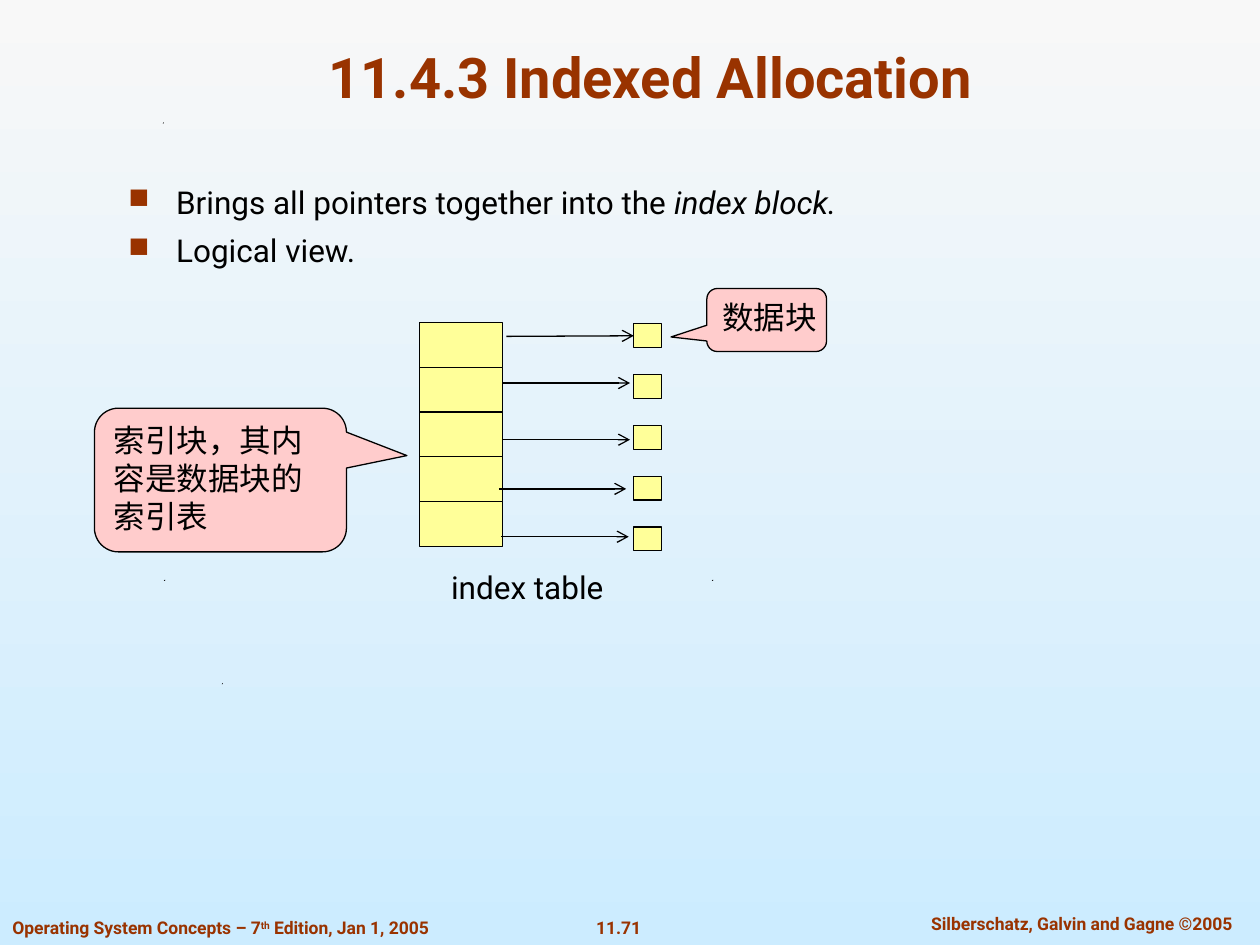
from lxml import etree
from pptx import Presentation, util as u
from pptx.dml import color
from pptx.enum import shapes, text
from pptx.oxml import ns

COLS, ROWS = 100, 75
CELL = u.Inches(0.1)
FONT, BROWN, BLACK, YELLOW, PINK = "Roboto", "993300", "000000", "FFFF99", "FFCCCC"
RECT = shapes.MSO_SHAPE.RECTANGLE
CALLOUT = shapes.MSO_SHAPE.ROUNDED_RECTANGULAR_CALLOUT
LEFT, CENTER = text.PP_ALIGN.LEFT, text.PP_ALIGN.CENTER
TOP, MIDDLE, BOTTOM = (text.MSO_ANCHOR.TOP, text.MSO_ANCHOR.MIDDLE,
                       text.MSO_ANCHOR.BOTTOM)
FOOTER = dict(size=u.Pt(10), bold=True)
BODY = dict(size=u.Pt(18))


def rgb(value):
    """Turn a hex string into a colour."""
    return color.RGBColor.from_string(value)


def grid(*cells):
    """Turn counts of grid cells into lengths."""
    return [round(n * CELL) for n in cells]


def sub(parent, tag, **attrs):
    """Append a drawing element with its attributes."""
    return etree.SubElement(parent, ns.qn("a:" + tag), attrs)


def add_run(p, words, ink, fmt, base=None):
    """Add a formatted run, raised by base when given."""
    r = p.add_run()
    r.text = words
    r.font.color.rgb = rgb(ink)
    for name, value in {"name": FONT, **fmt}.items():
        setattr(r.font, name, value)
    if base:
        r._r.get_or_add_rPr().set("baseline", base)


def set_frame(tf, wrap=True, anchor=TOP):
    """Set the wrapping and anchor of a text frame."""
    for name, value in dict(word_wrap=wrap, vertical_anchor=anchor).items():
        setattr(tf, name, value)
    return tf


def add_label(s, at, words, ink, fmt, align=LEFT, anchor=TOP):
    """Add a one-paragraph text box and return the paragraph."""
    tf = set_frame(s.shapes.add_textbox(*grid(*at)).text_frame, True, anchor)
    p = tf.paragraphs[0]
    p.alignment = align
    add_run(p, words, ink, fmt)
    return p


def add_bullet(p, runs, before):
    """Fill a paragraph with a square bullet and runs."""
    p.space_before = u.Pt(before)
    pPr = p._p.get_or_add_pPr()
    indent = u.Inches(0.38)
    pPr.set("marL", str(indent))
    pPr.set("indent", str(-indent))
    sub(sub(pPr, "buClr"), "srgbClr", val=BROWN)
    sub(pPr, "buSzPct", val="90000")
    sub(pPr, "buChar", char="■")
    for words, italic in runs:
        add_run(p, words, BLACK, {**BODY, "italic": italic})


def add_block(s, kind, at, fill):
    """Add a filled shape with a thin black outline."""
    sp = s.shapes.add_shape(kind, *grid(*at))
    sp.shadow.inherit = False
    sp.fill.solid()
    sp.fill.fore_color.rgb = rgb(fill)
    sp.line.color.rgb = rgb(BLACK)
    sp.line.width = u.Pt(0.75)
    return sp


def add_callout(s, at, tip, words, wrap):
    """Add a pink callout whose tip is a share of its size from the centre."""
    sp = add_block(s, CALLOUT, at, PINK)
    sp.adjustments[0], sp.adjustments[1] = tip
    p = set_frame(sp.text_frame, wrap).paragraphs[0]
    p.alignment = LEFT
    add_run(p, words, BLACK, BODY)


def add_arrow(s, x, y, length):
    """Add a horizontal arrow pointing right."""
    sp = s.shapes.add_connector(shapes.MSO_CONNECTOR.STRAIGHT,
                                *grid(x, y, x + length, y))
    sp.line.color.rgb = rgb(BLACK)
    sp.line.width = u.Pt(0.75)
    sub(sp.line._get_or_add_ln(), "tailEnd", type="arrow")
    sub(sp._element.spPr, "effectLst")
    return sp


def add_speck(s, x, y):
    """Add a tiny black triangle."""
    size = 0.1
    builder = s.shapes.build_freeform(*grid(x, y + size), scale=1.0)
    builder.add_line_segments([grid(x + size, y), grid(x + size, y + size)])
    sp = builder.convert_to_shape()
    sp.shadow.inherit = False
    sp.fill.solid()
    sp.fill.fore_color.rgb = rgb(BLACK)
    sp.line.fill.background()


def set_background(s):
    """Fade the background from grey down to pale blue."""
    fill = s.background.fill
    fill.gradient()
    fill.gradient_angle = 270
    for stop, value in zip(fill.gradient_stops, ("F8F8F8", "CCECFF")):
        stop.color.rgb = rgb(value)


def add_footer(s):
    """Add the page number, the rights line and the book title."""
    add_label(s, (46.3, 72.3, 5.6, 2.7), "11.71", BROWN, FOOTER, CENTER)
    add_label(s, (71, 72, 29.7, 2.7), "Silberschatz, Galvin and Gagne ©2005",
              BROWN, FOOTER, CENTER)
    p = add_label(s, (0, 72.3, 36.9, 2.7), "Operating System Concepts – 7",
                  BROWN, FOOTER)
    add_run(p, "th", BROWN, FOOTER, "30000")
    add_run(p, " Edition, Jan 1, 2005", BROWN, FOOTER)


def add_diagram(s):
    """Draw the index table, the data blocks and the arrows between them."""
    arrows = [(40.2, 26.7), (39.9, 30.4), (39.9, 34.9), (39.6, 38.8), (39.8, 42.6)]
    rows = range(len(arrows))
    for i in rows:
        add_block(s, RECT, (33.3, 25.6 + 3.55 * i, 6.6, 3.6), YELLOW)
    blocks = [add_block(s, RECT, (50.3, 25.7 + 4.03 * i, 2.2, 1.9), YELLOW)
              for i in rows]
    lines = [add_arrow(s, x, y, 10.1) for x, y in arrows]
    lines[0].end_connect(blocks[0], 1)
    add_label(s, (34.8, 44.6, 14.1, 4), "index table", BLACK, BODY, CENTER, MIDDLE)
    add_callout(s, (56.1, 22.9, 9.5, 5), (-0.8, 0.27), "数据块", False)
    add_callout(s, (7.5, 32.4, 20, 11.4), (0.74, -0.17),
                "索引块，其内容是数据块的索引表", True)


def main():
    """Build the slide and save it."""
    prs = Presentation()
    prs.slide_width, prs.slide_height = grid(COLS, ROWS)
    s = prs.slides.add_slide(prs.slide_layouts[6])
    set_background(s)
    for x, y in [(17.6, 54.2), (13, 46), (56.5, 46), (12.9, 9.7)]:
        add_speck(s, x, y)
    add_footer(s)
    add_label(s, (7.5, 2.5, 88.3, 6.7), "11.4.3 Indexed Allocation", BROWN,
              dict(size=u.Pt(32), bold=True), CENTER, BOTTOM)
    tf = set_frame(s.shapes.add_textbox(*grid(9.2, 14, 80.4, 10.2)).text_frame)
    add_bullet(tf.paragraphs[0], [("Brings all pointers together into the ", False),
                                  ("index block.", True)], 0)
    add_bullet(tf.add_paragraph(), [("Logical view.", False)], 6.3)
    add_diagram(s)
    prs.save("out.pptx")


if __name__ == "__main__":
    main()
